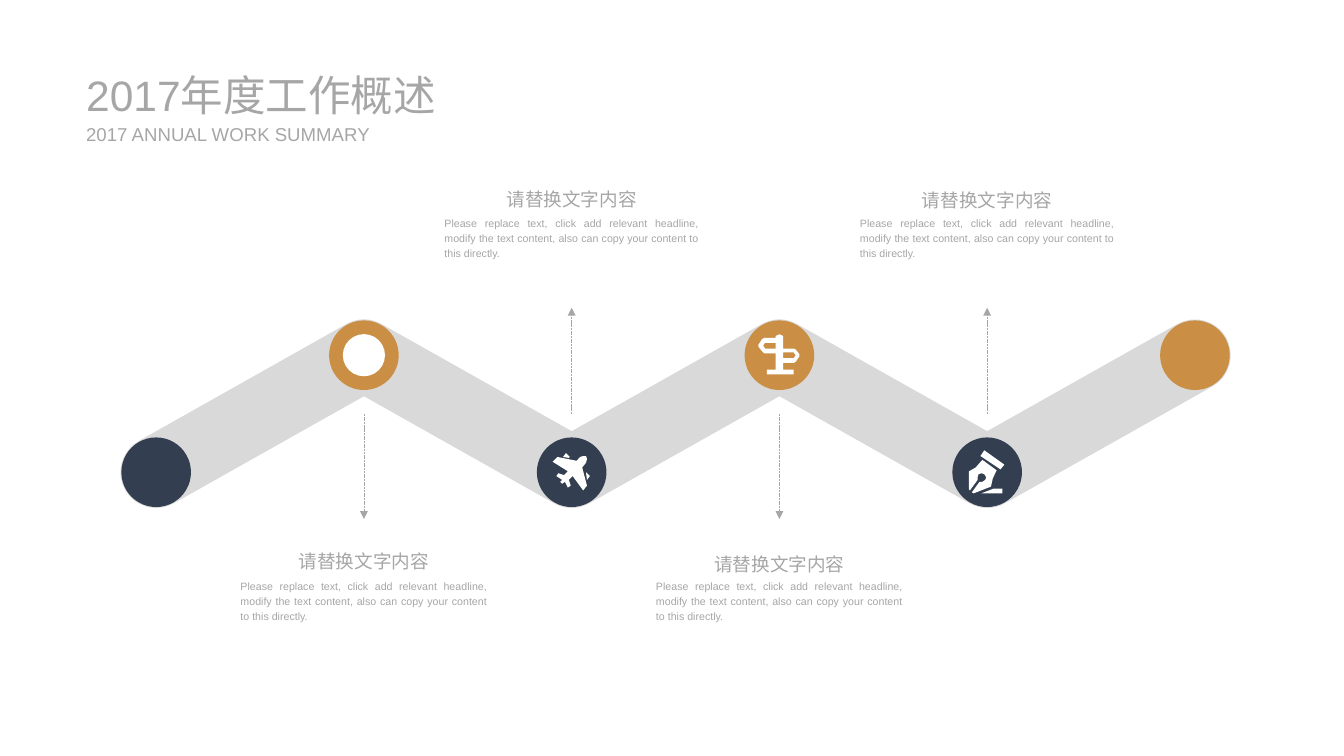
"""Build a zigzag roadmap slide with four annotated milestones."""
import math

from lxml import etree
from pptx import Presentation, util as u
from pptx.dml.color import RGBColor
from pptx.enum import dml, shapes, text
from pptx.oxml.ns import qn

GREY, BAND, NAVY, GOLD, WHITE = "A6A6A6", "D9D9D9", "333F50", "CA8F45", "FFFFFF"
HEADING = "请替换文字内容"
BODY = ("Please replace text, click add relevant headline, modify the text content, "
        "also can copy your content to this directly.")
ICON_UNIT = 0.0254
SIGNPOST = [
    [(-4, -13), (-15, -13), (-17, -10), (-15, -7), (-4, -7)],
    [(4, -7), (15, -7), (17, -6), (21, -1), (21, 1), (17, 7), (15, 8), (4, 8),
     (4, 15), (15, 15), (15, 20), (-13, 20), (-13, 15), (-4, 15), (-4, -2),
     (-16, -2), (-18, -4), (-22, -9), (-22, -11), (-18, -17), (-16, -18),
     (-4, -18), (-4, -20), (0, -22), (4, -20)],
    [(15, -3), (4, -3), (4, 3), (15, 3), (17, 0)],
]
PLANE = [
    [(9, -16), (12, -17), (15, -17), (16, -14), (15, -10), (11, -5), (16, 14),
     (12, 19), (1, 4), (-3, 8), (-1, 14), (-4, 16), (-7, 10), (-10, 12),
     (-12, 10), (-10, 8), (-16, 4), (-14, 1), (-8, 3), (-4, -1), (-20, -11),
     (-15, -16), (5, -12)],
    [(19, 4), (15, 0), (15, 1), (16, 8)],
    [(-6, -20), (-9, -16), (-3, -15), (-2, -16)],
]
PEN = [
    [(-18, 19), (-19, 18), (-19, -1), (-12, -5), (-5, -13), (10, -2), (6, 6),
     (4, 15), (-14, 22), (-16, 21), (-8, 10), (-5, 10), (-2, 8), (-1, 5),
     (-3, 2), (-6, 1), (-9, 2), (-10, 5), (-10, 8)],
    [(-6, 22), (16, 22), (16, 17), (7, 17)],
    [(14, -3), (18, -8), (-3, -23), (-7, -17)],
]
ICONS = {2: PLANE, 3: SIGNPOST, 4: PEN}


def paint(fill, colour):
    fill.solid()
    fill.fore_color.rgb = RGBColor.from_string(colour)


def add_outlines(slide, outlines):
    loops = [[(u.Cm(x), u.Cm(y)) for x, y in outline] for outline in outlines]
    builder = slide.shapes.build_freeform(*loops[0][0])
    builder.add_line_segments(loops[0][1:])
    for loop in loops[1:]:
        builder.move_to(*loop[0])
        builder.add_line_segments(loop[1:])
    return builder.convert_to_shape()


presentation = Presentation()
presentation.slide_width, presentation.slide_height = u.Cm(35.71), u.Cm(20.09)
slide = presentation.slides.add_slide(presentation.slide_layouts[6])

nodes = [(4.15 + 5.52 * i, 9.44 if i % 2 else 12.55) for i in range(6)]
radius = 0.95
walk = nodes + nodes[-2:0:-1]
band = []
for i, (x, y) in enumerate(walk):
    before, after = walk[i - 1], walk[(i + 1) % len(walk)]
    arriving = math.atan2(y - before[1], x - before[0])
    leaving = math.atan2(after[1] - y, after[0] - x)
    turn = (leaving - arriving + math.pi / 2) % math.tau - math.pi / 2
    if turn > 0:
        steps, reach = [k / 16 for k in range(17)], radius
    else:
        steps, reach = [0.5], radius / math.cos(turn / 2)
    for step in steps:
        angle = arriving - math.pi / 2 + turn * step
        band.append((x + reach * math.cos(angle), y + reach * math.sin(angle)))

filled = [(add_outlines(slide, [band]), BAND)]
for i, (x, y) in enumerate(nodes):
    discs = [(1.85, GOLD if i % 2 else NAVY)]
    if i == 1:
        discs.append((1.12, WHITE))
    for size, colour in discs:
        disc = slide.shapes.add_shape(
            shapes.MSO_SHAPE.OVAL, u.Cm(x - size / 2), u.Cm(y - size / 2), u.Cm(size), u.Cm(size))
        filled.append((disc, colour))
    if i in ICONS:
        icon = [[(x + ICON_UNIT * dx, y + ICON_UNIT * dy) for dx, dy in outline]
                for outline in ICONS[i]]
        filled.append((add_outlines(slide, icon), WHITE))

for shape, colour in filled:
    shape.shadow.inherit = False
    shape.line.fill.background()
    paint(shape.fill, colour)

title_frame = {"word_wrap": True, "vertical_anchor": text.MSO_ANCHOR.MIDDLE, "margin_left": 0,
               "margin_right": 0, "margin_top": 0, "margin_bottom": 0}
heading_frame = {"word_wrap": False}
body_frame = {"word_wrap": True}
heading_format = {"alignment": text.PP_ALIGN.CENTER, "line_spacing": 1.2}
body_format = {"alignment": text.PP_ALIGN.JUSTIFY, "line_spacing": 1.2}

texts = [
    ("2017年度工作概述", 32, (2.29, 1.83, 10.97, 1.37), title_frame, {}),
    ("2017 ANNUAL WORK SUMMARY", 14, (2.29, 3.25, 7.8, 0.61), title_frame, {}),
]
milestones = [(1, 13.79, 14.38, 15.21, 7.06), (3, 13.79, 14.45, 15.21, 7.06),
              (2, 8.18, 4.75, 5.56, 7.26), (4, 8.18, 4.78, 5.56, 7.26)]
for i, arrow_end, heading_top, body_top, body_width in milestones:
    x = nodes[i][0]
    arrow = slide.shapes.add_connector(
        shapes.MSO_CONNECTOR.STRAIGHT, u.Cm(x), u.Cm(11), u.Cm(x), u.Cm(arrow_end))
    paint(arrow.line.fill, GREY)
    arrow.line.width = u.Pt(0.5)
    arrow.line.dash_style = dml.MSO_LINE.SQUARE_DOT
    etree.SubElement(arrow.line._get_or_add_ln(), qn("a:tailEnd"), type="triangle")
    etree.SubElement(arrow._element.spPr, qn("a:effectLst"))
    texts += [
        (HEADING, 14, (x - 2, heading_top, 4, 0.91), heading_frame, heading_format),
        (BODY, 8, (x - body_width / 2, body_top, body_width, 1.45), body_frame, body_format),
    ]

for wording, size, place, frame_format, paragraph_format in texts:
    frame = slide.shapes.add_textbox(*map(u.Cm, place)).text_frame
    frame.auto_size = text.MSO_AUTO_SIZE.SHAPE_TO_FIT_TEXT
    paragraph = frame.paragraphs[0]
    run = paragraph.add_run()
    run.text = wording
    font_format = {"name": "Arial", "size": u.Pt(size)}
    for target, values in ((frame, frame_format), (paragraph, paragraph_format),
                           (run.font, font_format)):
        for name, value in values.items():
            setattr(target, name, value)
    paint(run.font.fill, GREY)

presentation.save("out.pptx")
